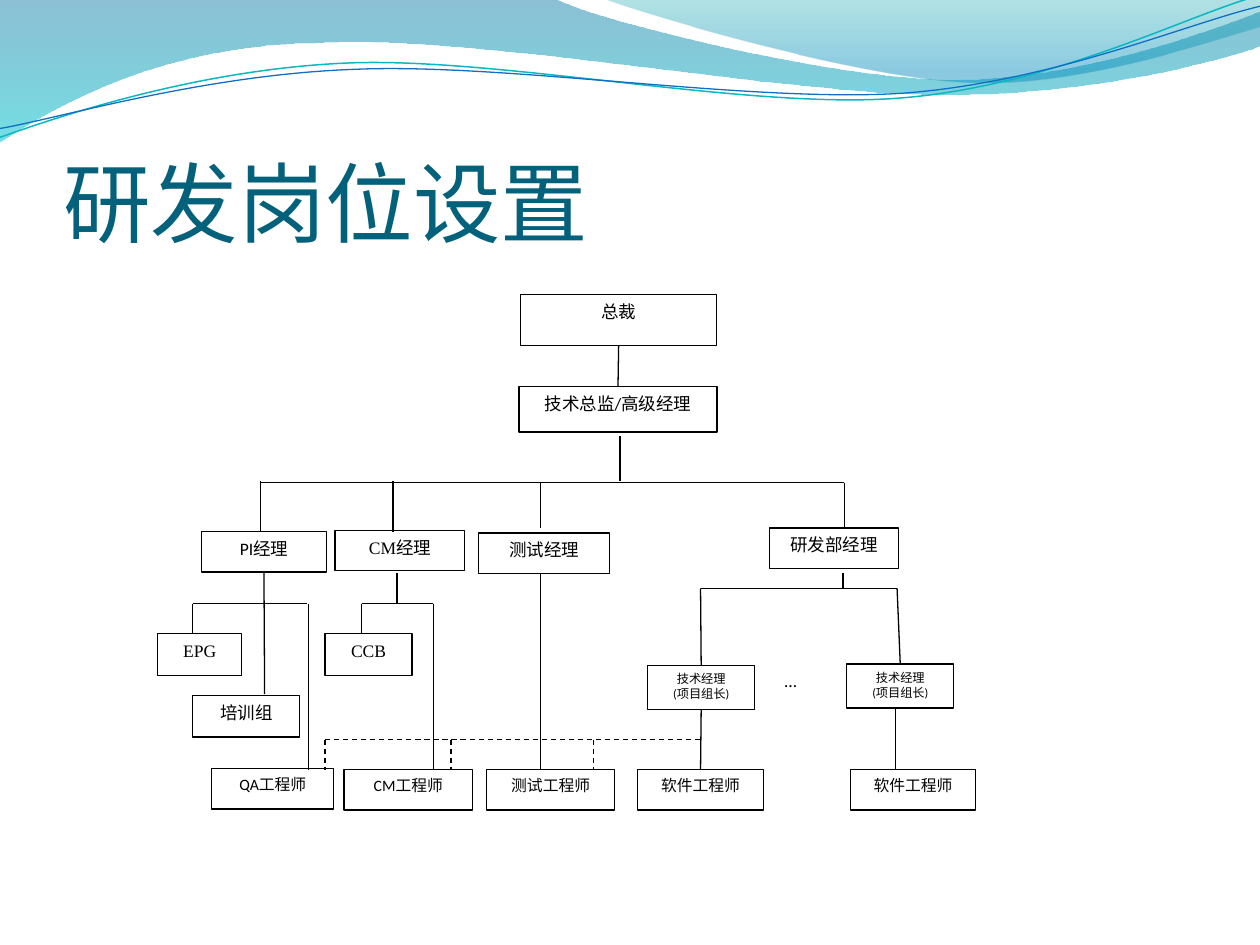
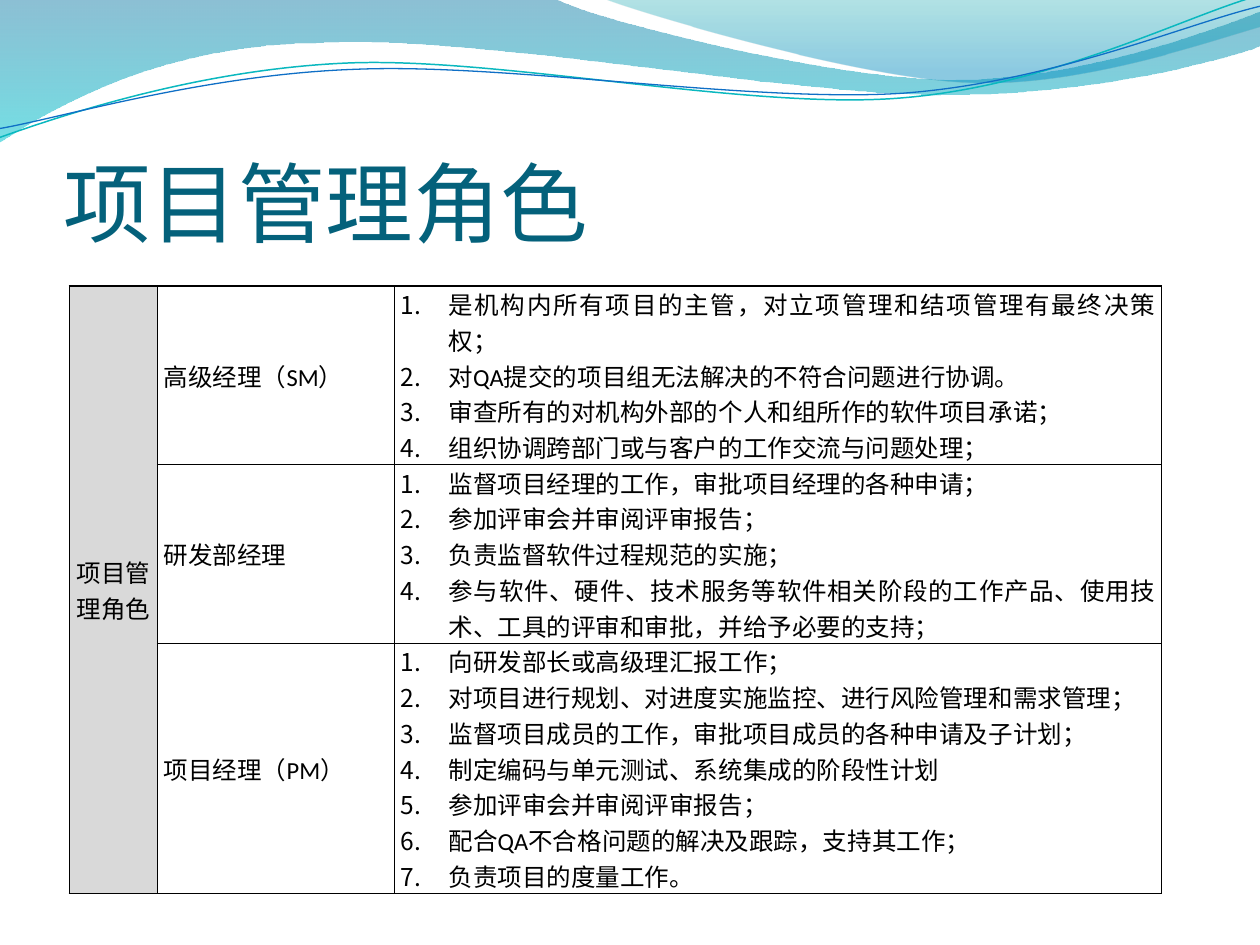
from lxml import etree
from pptx import Presentation, util as u
from pptx.dml.color import RGBColor
from pptx.enum import dml, shapes, text
from pptx.oxml.ns import qn

COLORS = {"ink": "000000", "paper": "FFFFFF", "title": "04617B", "role": "D9D9D9",
          "deep": "0074A1", "aqua": "00C6CF", "teal": "00A1A9", "blue": "008BBF",
          "teal_line": "0AB8BF", "blue_line": "0F6FC6"}
SANS, SERIF = "Calibri", "Times New Roman"

BROAD_WAVE = [(0, -0.01), (4.4, -0.01), (4.76, 0.17, 6.64, 0.63, 7.58, 0.63),
              (8.53, 0.63, 9.58, 0.26, 10, 0.09), (10.01, 0.36),
              (9.83, 0.44, 8.7, 0.76, 7.46, 0.75), (6.22, 0.75, 3.82, 0.28, 2.57, 0.34),
              (1.29, 0.35, 0.46, 0.83, -0.01, 1.13)]
RIGHT_WAVE = [(4.79, -0.01), (5.09, 0.11, 6.82, 0.62, 7.69, 0.65),
              (8.56, 0.69, 9.61, 0.32, 10, 0.21), (10, 0)]
TEAL_STROKE = [(0, 1.09), (0.48, 0.92, 1.57, 0.55, 2.76, 0.5),
               (3.95, 0.45, 5.92, 0.87, 7.12, 0.78), (8.33, 0.69, 9.38, 0.14, 9.97, -0.03)]
BLUE_STROKE = [(0, 1.02), (0.47, 0.94, 1.63, 0.59, 2.83, 0.55),
               (4.02, 0.5, 5.97, 0.82, 7.17, 0.74), (8.36, 0.65, 9.41, 0.19, 10, 0.05)]

LEAD = "技术经理\n(项目组长)"
POSTS = [
    ("总裁", 4.13, 2.34, 1.56, 0.4, 10, SANS),
    ("技术总监/高级经理", 4.12, 3.07, 1.57, 0.36, 10, SANS),
    ("PI经理", 1.6, 4.22, 0.99, 0.32, 10, SANS),
    ("CM经理", 2.66, 4.21, 1.03, 0.32, 10, None),
    ("测试经理", 3.8, 4.23, 1.04, 0.32, 10, SANS),
    ("研发部经理", 6.11, 4.19, 1.02, 0.32, 10, SANS),
    ("EPG", 1.25, 5.03, 0.67, 0.33, 10, SERIF),
    ("CCB", 2.58, 5.03, 0.69, 0.33, 10, SERIF),
    ("培训组", 1.53, 5.52, 0.85, 0.33, 10, SERIF),
    (LEAD, 5.14, 5.28, 0.85, 0.35, 7, SANS),
    (LEAD, 6.72, 5.27, 0.85, 0.35, 7, SANS),
    ("QA工程师", 1.68, 6.1, 0.97, 0.32, 9, SANS),
    ("CM工程师", 2.73, 6.11, 1.02, 0.32, 9, SANS),
    ("测试工程师", 3.86, 6.11, 1.02, 0.32, 9, SANS),
    ("软件工程师", 5.06, 6.11, 1.0, 0.32, 9, SANS),
    ("软件工程师", 6.75, 6.11, 0.99, 0.32, 9, SANS),
]
REPORTING_LINES = [
    (4.92, 2.74, 4.92, 3.05), (4.92, 3.46, 4.92, 3.82), (2.06, 3.83, 6.7, 3.83),
    (2.07, 3.82, 2.07, 4.22), (3.12, 3.82, 3.12, 4.22), (4.29, 3.83, 4.29, 4.19),
    (6.7, 3.83, 6.7, 4.19),
    (1.53, 4.79, 2.44, 4.79), (1.53, 4.79, 1.53, 5.03), (2.1, 4.55, 2.1, 5.51),
    (2.45, 4.79, 2.45, 6.11),
    (3.15, 4.55, 3.15, 4.79), (2.87, 4.79, 3.44, 4.79), (2.87, 4.79, 2.87, 5.03),
    (3.44, 4.79, 3.44, 6.11), (4.29, 4.55, 4.29, 6.11),
    (6.69, 4.55, 6.69, 4.67), (5.56, 4.67, 7.12, 4.67), (5.56, 4.67, 5.57, 5.27),
    (7.12, 4.67, 7.13, 5.27), (5.56, 5.63, 5.56, 6.11), (7.11, 5.63, 7.11, 6.11),
]
SUPPORT_LINES = [(2.58, 5.87, 5.57, 5.87)] + [(x, 5.87, x, 6.11) for x in (2.58, 3.58, 4.71)]

ROLES = [
    ("高级经理（SM）", 1.25, [
        "是机构内所有项目的主管，对立项管理和结项管理有最终决策权；",
        "对QA提交的项目组无法解决的不符合问题进行协调。",
        "审查所有的对机构外部的个人和组所作的软件项目承诺；",
        "组织协调跨部门或与客户的工作交流与问题处理；"]),
    ("研发部经理", 1.02, [
        "监督项目经理的工作，审批项目经理的各种申请；",
        "参加评审会并审阅评审报告；",
        "负责监督软件过程规范的实施；",
        "参与软件、硬件、技术服务等软件相关阶段的工作产品、使用技术、工具的评审和审批，并给予必要的支持；"]),
    ("项目经理（PM）", 1.56, [
        "向研发部长或高级理汇报工作；",
        "对项目进行规划、对进度实施监控、进行风险管理和需求管理；",
        "监督项目成员的工作，审批项目成员的各种申请及子计划；",
        "制定编码与单元测试、系统集成的阶段性计划",
        "参加评审会并审阅评审报告；",
        "配合QA不合格问题的解决及跟踪，支持其工作；",
        "负责项目的度量工作。"]),
]


def rgb(name):
    return RGBColor.from_string(COLORS[name])


def style_font(font, size, face=SANS, color="ink"):
    font.size, font.name = u.Pt(size), face
    font.color.rgb = rgb(color)


def add_outline(slide, outline, closed):
    """Build a freeform whose six-number parts become cubic curves."""
    start, *rest = [[(u.Inches(part[i]), u.Inches(part[i + 1])) for i in range(0, len(part), 2)]
                    for part in outline]
    builder = slide.shapes.build_freeform(*start[0], scale=1.0)
    builder.add_line_segments([point for part in rest for point in part], close=closed)
    shape = builder.convert_to_shape()
    shape.shadow.inherit = False
    segments = iter(list(shape.element.iter(qn("a:lnTo"))))
    for part in rest:
        pieces = [next(segments) for _ in part]
        if len(pieces) == 3:
            curve = etree.Element(qn("a:cubicBezTo"))
            pieces[0].addprevious(curve)
            for piece in pieces:
                curve.append(piece[0])
                piece.getparent().remove(piece)
    return shape


def add_wave(slide, outline, stops):
    wave = add_outline(slide, outline, True)
    wave.line.fill.background()
    wave.fill.gradient()
    wave.fill.gradient_angle = 270
    for stop, (position, color, _) in zip(wave.fill.gradient_stops, stops):
        stop.position = position
        stop.color.rgb = rgb(color)
    for tint, (_, _, opacity) in zip(wave.element.iter(qn("a:srgbClr")), stops):
        etree.SubElement(tint, qn("a:alpha"), val=str(opacity * 1000))
    return wave


def add_stroke(slide, outline, color, width):
    stroke = add_outline(slide, outline, False)
    stroke.fill.background()
    stroke.line.color.rgb = rgb(color)
    stroke.line.width = u.Pt(width)
    return stroke


def add_header_to_layout(layout, slide):
    """Draw the header waves once and place them on the shared layout."""
    header = [add_wave(slide, BROAD_WAVE, [(0, "deep", 45), (1, "aqua", 55)]),
              add_wave(slide, RIGHT_WAVE, [(0, "teal", 30), (0.8, "blue", 45)]),
              add_stroke(slide, TEAL_STROKE, "teal_line", 0.85),
              add_stroke(slide, BLUE_STROKE, "blue_line", 0.75)]
    for part in header:
        layout.shapes.element.append(part.element)


def set_title(slide, wording):
    title = slide.shapes.title
    title.left, title.top, title.width, title.height = map(u.Inches, (0.5, 0.77, 9, 1.25))
    frame = title.text_frame
    frame.text = wording
    frame.auto_size = text.MSO_AUTO_SIZE.NONE
    frame.vertical_anchor = text.MSO_ANCHOR.BOTTOM
    frame.margin_left = frame.margin_right = frame.margin_bottom = 0
    frame.margin_top = u.Inches(0.05)
    frame.paragraphs[0].alignment = text.PP_ALIGN.LEFT
    style_font(frame.paragraphs[0].font, 50, color="title")


def add_post(slide, wording, left, top, width, height, size, face):
    post = slide.shapes.add_shape(shapes.MSO_SHAPE.RECTANGLE,
                                  *map(u.Inches, (left, top, width, height)))
    post.shadow.inherit = False
    post.fill.solid()
    post.fill.fore_color.rgb = rgb("paper")
    post.line.color.rgb = rgb("ink")
    post.line.width = u.Pt(0.75)
    frame = post.text_frame
    frame.vertical_anchor = text.MSO_ANCHOR.TOP
    if face:
        frame.text = wording
    else:
        for part, part_face in ((wording[:2], SERIF), (wording[2:], SANS)):
            run = frame.paragraphs[0].add_run()
            run.text = part
            style_font(run.font, size, part_face)
    for paragraph in frame.paragraphs:
        paragraph.alignment = text.PP_ALIGN.CENTER
        if face:
            style_font(paragraph.font, size, face)
    return post


def find_side(posts, x, y):
    """Return the post and site whose top or bottom middle lies at a point."""
    near = u.Inches(0.02)
    for post in posts:
        for site, edge in ((0, post.top), (2, post.top + post.height)):
            middle = post.left + post.width // 2
            if abs(middle - u.Inches(x)) <= near and abs(edge - u.Inches(y)) <= near:
                return post, site
    return None


def add_link(slide, posts, ends, dashed=False):
    link = slide.shapes.add_connector(shapes.MSO_CONNECTOR.STRAIGHT, *map(u.Inches, ends))
    link.line.color.rgb = rgb("ink")
    link.line.width = u.Pt(0.75)
    if dashed:
        link.line.dash_style = dml.MSO_LINE.DASH
    etree.SubElement(link.element.spPr, qn("a:effectLst"))
    for join, point in ((link.begin_connect, ends[:2]), (link.end_connect, ends[2:])):
        side = find_side(posts, *point)
        if side and not dashed:
            join(*side)


def add_ellipsis(slide):
    frame = slide.shapes.add_textbox(*map(u.Inches, (6.13, 5.27, 0.57, 0.24))).text_frame
    frame.word_wrap = True
    frame.text = "…"
    style_font(frame.paragraphs[0].font, 10)


def format_cell(cell, fill=None):
    cell.margin_left = cell.margin_right = u.Inches(0.05)
    cell.margin_top = cell.margin_bottom = 0
    properties = cell._tc.get_or_add_tcPr()
    for side in ("lnL", "lnR", "lnT", "lnB"):
        border = etree.SubElement(properties, qn(f"a:{side}"), w=str(u.Pt(1)))
        solid = etree.SubElement(border, qn("a:solidFill"))
        etree.SubElement(solid, qn("a:srgbClr"), val=COLORS["ink"])
    if fill:
        cell.fill.solid()
        cell.fill.fore_color.rgb = rgb(fill)
    else:
        cell.fill.background()


def write_cell(cell, wording, align=text.PP_ALIGN.JUSTIFY, numbered=False):
    cell.text = wording
    cell.vertical_anchor = text.MSO_ANCHOR.TOP if numbered else text.MSO_ANCHOR.MIDDLE
    for paragraph in cell.text_frame.paragraphs:
        paragraph.alignment = align
        if numbered:
            properties = paragraph._p.get_or_add_pPr()
            properties.set("marL", str(u.Inches(0.38)))
            properties.set("indent", str(-u.Inches(0.38)))
            properties.set("hangingPunct", "0")
            etree.SubElement(properties, qn("a:buAutoNum"), type="arabicPeriod")
        style_font(paragraph.font, 14)


def add_role_table(slide):
    table = slide.shapes.add_table(len(ROLES), 3, *map(u.Inches, (0.55, 2.27, 8.67, 3.83))).table
    table.first_row = table.horz_banding = False
    for column, width in zip(table.columns, (0.7, 1.88, 6.09)):
        column.width = u.Inches(width)
    for index, (role, height, duties) in enumerate(ROLES):
        table.rows[index].height = u.Inches(height)
        group_cell, role_cell, duty_cell = table.rows[index].cells
        format_cell(group_cell, "role")
        format_cell(role_cell)
        format_cell(duty_cell)
        write_cell(role_cell, role)
        write_cell(duty_cell, "\n".join(duties), numbered=True)
    group = table.cell(0, 0)
    group.merge(table.cell(len(ROLES) - 1, 0))
    write_cell(group, "项目管理角色", text.PP_ALIGN.CENTER)


def main():
    deck = Presentation()
    deck.slide_width, deck.slide_height = u.Inches(10), u.Inches(7.5)
    layout = deck.slide_layouts[5]

    org_slide = deck.slides.add_slide(layout)
    add_header_to_layout(layout, org_slide)
    set_title(org_slide, "研发岗位设置")
    posts = [add_post(org_slide, *post) for post in POSTS]
    add_ellipsis(org_slide)
    for ends in REPORTING_LINES:
        add_link(org_slide, posts, ends)
    for ends in SUPPORT_LINES:
        add_link(org_slide, posts, ends, dashed=True)

    role_slide = deck.slides.add_slide(layout)
    set_title(role_slide, "项目管理角色")
    add_role_table(role_slide)
    deck.save("out.pptx")


if __name__ == "__main__":
    main()
